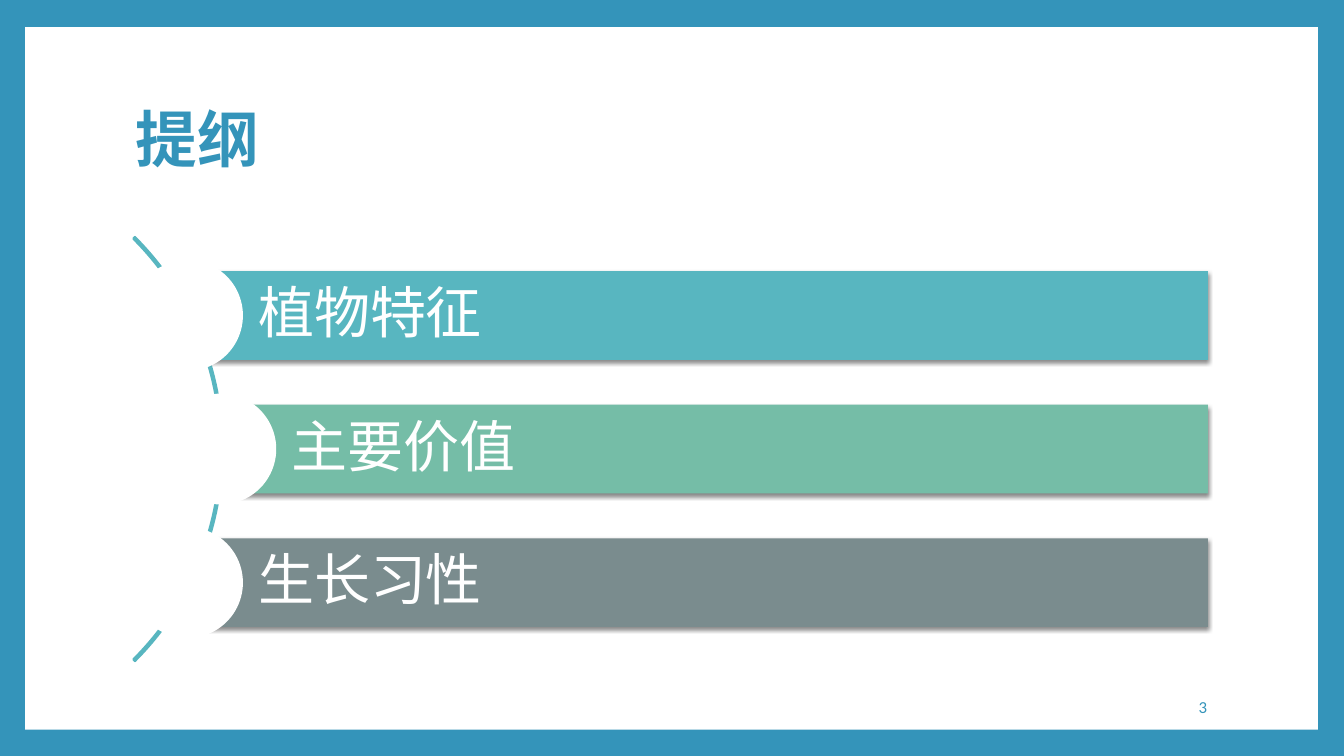
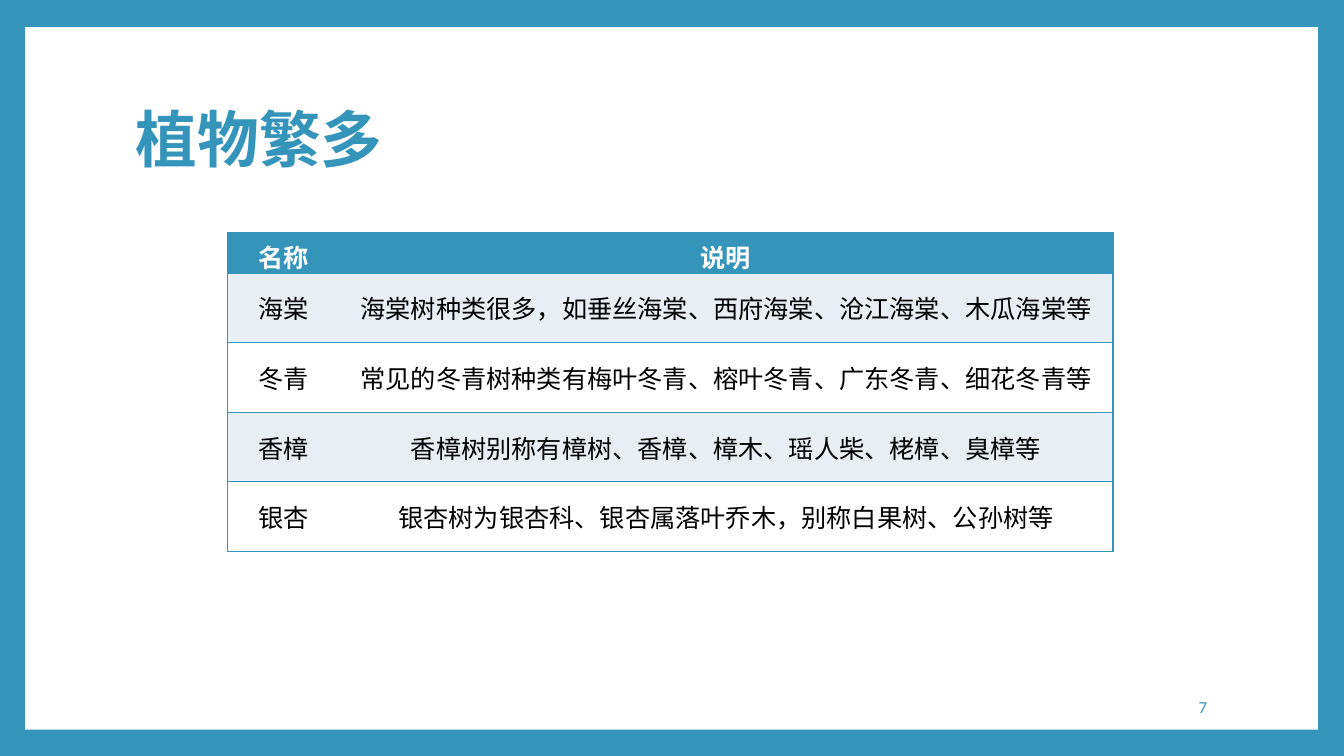
from pptx import Presentation
from pptx.dml.color import RGBColor
from pptx.enum.lang import MSO_LANGUAGE_ID as LANG
from pptx.enum.shapes import MSO_SHAPE as SHAPE
from pptx.enum.text import MSO_ANCHOR as ANCHOR, PP_ALIGN as ALIGN
from pptx.oxml import parse_xml
from pptx.oxml.ns import nsdecls
from pptx.util import Inches, Pt

# Content
OUTLINE = dict(title="提纲", number="3", items=[
    # text, colour, left edge of the bar
    ("植物特征", "58B6C0", 1.86),
    ("主要价值", "75BDA7", 2.19),
    ("生长习性", "7A8C8E", 1.86),
])
PLANTS = dict(title="植物繁多", number="7", rows=[
    ("名称", "说明"),
    ("海棠", "海棠树种类很多，如垂丝海棠、西府海棠、沧江海棠、木瓜海棠等"),
    ("冬青", "常见的冬青树种类有梅叶冬青、榕叶冬青、广东冬青、细花冬青等"),
    ("香樟", "香樟树别称有樟树、香樟、樟木、瑶人柴、栳樟、臭樟等"),
    ("银杏", "银杏树为银杏科、银杏属落叶乔木，别称白果树、公孙树等"),
])

# Shared style
FONT = "Calibri"
BLUE, TEAL, WHITE, BLACK, PALE = "3494BA", "58B6C0", "FFFFFF", "000000", "E8EEF3"
WIDTH, HEIGHT = 13.33, 7.5
RIGHT = 11.98

# Outline geometry
BAR_TOP, BAR_H, PITCH = 2.69, 0.88, 1.325
KNOB = 1.1
ARC_LEFT, ARC_TOP, ARC_SIZE = -3.74, 1.48, 5.95

# Table geometry
TABLE_LEFT, TABLE_TOP = 2.26, 2.31
COLS, HEAD_H, ROW_H = (1.1, 7.68), 0.4, 0.69


def color(value):
    return RGBColor.from_string(value)


def box(*lengths):
    return [Inches(n) for n in lengths]


def write(tf, text, size, ink, bold=False, align=ALIGN.LEFT, spacing=1.0):
    p = tf.paragraphs[0]
    p.alignment, p.line_spacing = align, spacing
    r = p.add_run()
    r.text = text
    f = r.font
    f.name, f.size, f.bold = FONT, Pt(size), bold
    f.language_id = LANG.SIMPLIFIED_CHINESE
    f.color.rgb = color(ink)


def add_text(s, at, text, size, **style):
    tf = s.shapes.add_textbox(*box(*at)).text_frame
    tf.word_wrap, tf.vertical_anchor = True, ANCHOR.MIDDLE
    write(tf, text, size, BLUE, **style)


def add_shape(s, kind, at, fill=None):
    sp = s.shapes.add_shape(kind, *box(*at))
    sp.shadow.inherit = False
    sp.line.fill.background()
    if fill:
        sp.fill.solid()
        sp.fill.fore_color.rgb = color(fill)
    else:
        sp.fill.background()
    return sp


def add_slide(prs, title, number):
    s = prs.slides.add_slide(prs.slide_layouts[6])
    add_shape(s, SHAPE.RECTANGLE, (0.25, 0.27, 12.82, 6.97), WHITE)
    add_text(s, (1.25, 0.67, 10.8, 1.48), title, 44, bold=True, spacing=0.9)
    add_text(s, (10.2, 6.81, 1.87, 0.4), number, 12, align=ALIGN.RIGHT)
    return s


def drop_shadow(sp):
    sp._element.spPr.find("{*}effectLst").append(parse_xml(
        f'<a:outerShdw {nsdecls("a")} blurRad="{Pt(3)}" dist="{Pt(2)}" '
        f'dir="5400000" algn="ctr" rotWithShape="0"><a:srgbClr val="{BLACK}">'
        '<a:alpha val="45000"/></a:srgbClr></a:outerShdw>'))


def set_borders(cell, drawn):
    """Draw the sides named in drawn (L, R, T, B) and blank the others."""
    tc_pr = cell._tc.get_or_add_tcPr()
    for i, side in enumerate("LRTB"):
        paint = (f'<a:solidFill><a:srgbClr val="{BLUE}"/></a:solidFill>'
                 if side in drawn else "<a:noFill/>")
        tc_pr.insert(i, parse_xml(
            f'<a:ln{side} {nsdecls("a")} w="{Pt(1)}">{paint}</a:ln{side}>'))


def outline_slide(prs, title, number, items):
    s = add_slide(prs, title, number)

    # Arc behind the bars
    arc = add_shape(s, SHAPE.BLOCK_ARC, (ARC_LEFT, ARC_TOP, ARC_SIZE, ARC_SIZE))
    for i, value in enumerate((189, 27, 0.004)):
        arc.adjustments[i] = value
    arc.line.color.rgb, arc.line.width = color(TEAL), Pt(1.5)

    # Bars, each with a round knob centred on its left edge
    for i, (text, fill, left) in enumerate(items):
        top = BAR_TOP + i * PITCH
        bar = add_shape(s, SHAPE.RECTANGLE, (left, top, RIGHT - left, BAR_H), fill)
        drop_shadow(bar)
        tf = bar.text_frame
        tf.word_wrap, tf.vertical_anchor = True, ANCHOR.MIDDLE
        tf.margin_left = Inches(0.7)
        tf.margin_top = tf.margin_right = tf.margin_bottom = Inches(0.11)
        write(tf, text, 40, WHITE, spacing=0.9)
        add_shape(s, SHAPE.OVAL, (left - KNOB / 2, top + (BAR_H - KNOB) / 2,
                                  KNOB, KNOB), WHITE)


def plants_slide(prs, title, number, rows):
    s = add_slide(prs, title, number)
    heights = [HEAD_H] + [ROW_H] * (len(rows) - 1)
    table = s.shapes.add_table(len(rows), len(COLS), *box(
        TABLE_LEFT, TABLE_TOP, sum(COLS), sum(heights))).table
    table.first_row = table.horz_banding = False
    for col, width in zip(table.columns, COLS):
        col.width = Inches(width)
    for i, (row, height) in enumerate(zip(rows, heights)):
        table.rows[i].height = Inches(height)
        head = i == 0
        fill = BLUE if head else PALE if i % 2 else WHITE
        for j, text in enumerate(row):
            cell = table.cell(i, j)
            cell.vertical_anchor = ANCHOR.MIDDLE
            cell.fill.solid()
            cell.fill.fore_color.rgb = color(fill)
            set_borders(cell, "TB" + ("L" if j == 0 else "R"))
            write(cell.text_frame, text, 18, WHITE if head else BLACK,
                  bold=head, align=ALIGN.CENTER)


def main():
    prs = Presentation()
    prs.slide_width, prs.slide_height = box(WIDTH, HEIGHT)
    back = prs.slide_master.background.fill
    back.solid()
    back.fore_color.rgb = color(BLUE)
    outline_slide(prs, **OUTLINE)
    plants_slide(prs, **PLANTS)
    prs.save("out.pptx")


if __name__ == "__main__":
    main()
